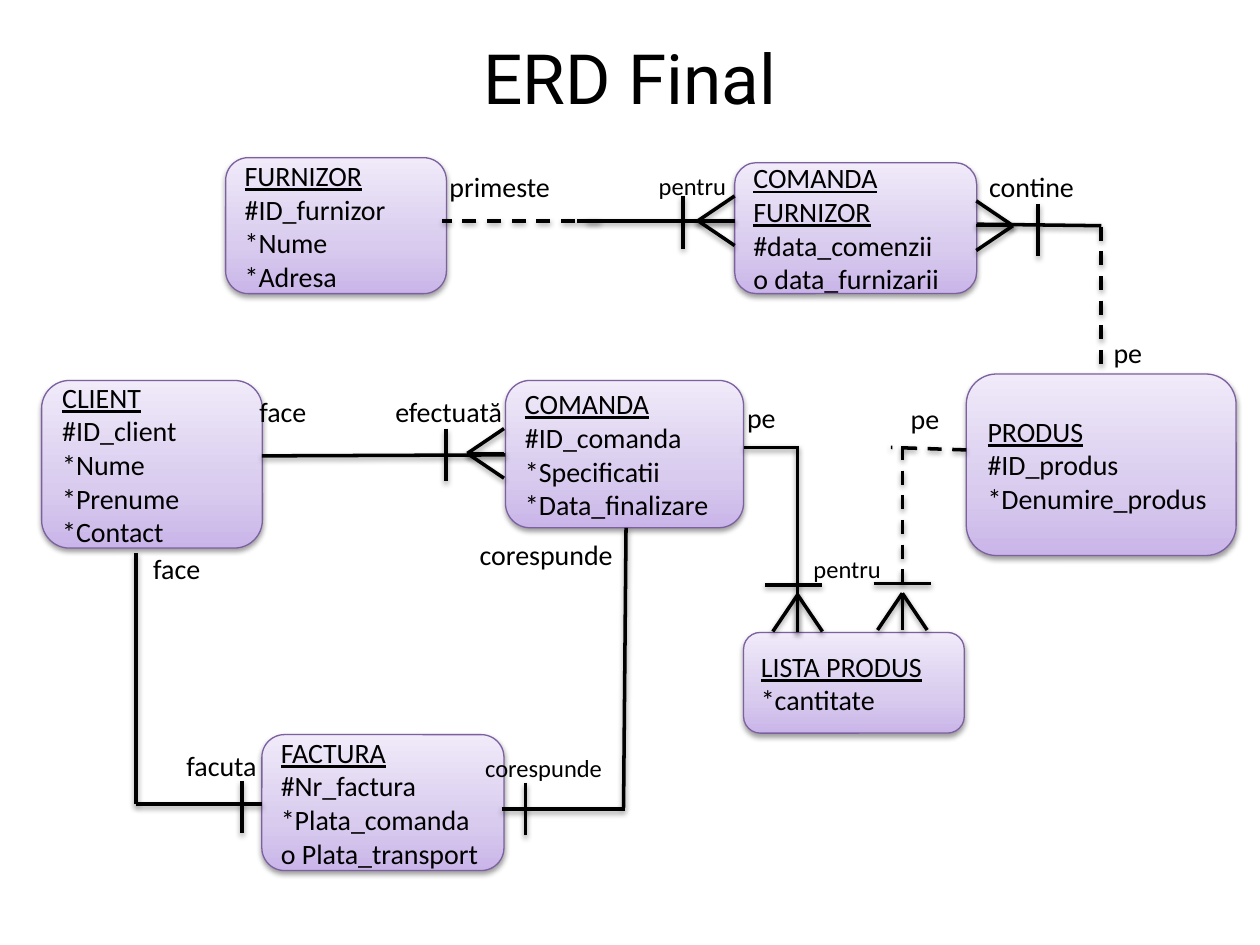
from lxml import etree
from pptx import Presentation
from pptx.dml.color import RGBColor
from pptx.enum.dml import MSO_LINE
from pptx.enum.shapes import MSO_CONNECTOR, MSO_SHAPE
from pptx.enum.text import MSO_ANCHOR, PP_ALIGN
from pptx.oxml import parse_xml
from pptx.util import Cm, Pt

STRAIGHT = MSO_CONNECTOR.STRAIGHT
ROUNDED = MSO_SHAPE.ROUNDED_RECTANGLE
DASH = MSO_LINE.DASH
MIDDLE = MSO_ANCHOR.MIDDLE
LEFT, CENTER = PP_ALIGN.LEFT, PP_ALIGN.CENTER
A = "http://schemas.openxmlformats.org/drawingml/2006/main"
INK, BORDER = "000000", "7D60A0"
GRADIENT = [(0, "C9B5E8"), (35, "D8CBEE"), (100, "F0EAF9")]
DIRECTIONS = {"right": (1, 0), "left": (-1, 0), "down": (0, 1)}
FOOT_LENGTH, FOOT_SPREAD = 0.74, 0.5

ENTITIES = [
    ((0.84, 7.67, 4.45, 3.38), ["CLIENT"], ["#ID_client", "*Nume", "*Prenume", "*Contact"]),
    ((10.19, 7.67, 4.8, 2.97), ["COMANDA"], ["#ID_comanda", "*Specificatii", "*Data_finalizare"]),
    ((4.55, 3.18, 4.45, 2.74), ["FURNIZOR"], ["#ID_furnizor", "*Nume", "*Adresa"]),
    ((14.81, 3.28, 4.88, 2.64), ["COMANDA", "FURNIZOR"], ["#data_comenzii", "o data_furnizarii"]),
    ((14.99, 12.75, 4.45, 2.03), ["LISTA PRODUS"], ["*cantitate"]),
    ((19.48, 7.54, 5.44, 3.66), ["PRODUS"], ["#ID_produs", "*Denumire_produs"]),
    ((5.28, 14.81, 4.88, 2.74), ["FACTURA"], ["#Nr_factura", "*Plata_comanda", "o Plata_transport"]),
]

RELATIONSHIPS = [
    {"solid": [(11.63, 4.45, 14.81, 4.45)], "dashed": [(12.09, 4.45, 8.92, 4.45)],
     "bars": [(13.77, 4.48)], "feet": [(14.07, 4.45, "right")],
     "labels": [("primeste", 8.81, 3.3, 2.97, 16), ("pentru", 13.03, 3.33, 1.93, 14)]},
    {"solid": [(19.69, 4.52, 22.2, 4.55)], "dashed": [(22.2, 4.57, 22.2, 7.54)],
     "bars": [(20.93, 4.64)], "feet": [(20.42, 4.55, "left")],
     "labels": [("contine", 19.69, 3.3, 3.18, 16), ("pe", 22.2, 6.63, 1.83, 16)]},
    {"solid": [(5.28, 9.19, 10.19, 9.17)],
     "bars": [(8.99, 9.17)], "feet": [(9.42, 9.14, "right")],
     "labels": [("face", 4.98, 7.82, 2.34, 16), ("efectuată", 7.72, 7.82, 2.77, 16)]},
    {"solid": [(14.99, 9.02, 16.08, 9.02), (16.08, 8.99, 16.08, 12.75)],
     "rungs": [(16, 11.79)], "feet": [(16.08, 11.99, "down")],
     "labels": [("pe", 14.81, 7.95, 1.83, 16), ("pentru", 16.15, 11.05, 1.93, 14)]},
    {"dashed": [(19.48, 9.07, 17.96, 9.02), (18.19, 8.99, 18.19, 12.17)],
     "rungs": [(18.19, 11.76)], "feet": [(18.19, 11.96, "down")],
     "labels": [("pe", 18.11, 7.98, 1.83, 16)]},
    {"solid": [(12.62, 10.64, 12.57, 16.28), (10.11, 16.31, 12.6, 16.31)],
     "bars": [(10.59, 16.31)],
     "labels": [("corespunde", 9.42, 10.72, 3.45, 16), ("corespunde", 9.53, 15.06, 3.05, 14)]},
    {"solid": [(2.74, 11.15, 2.74, 16.21), (2.74, 16.21, 5.28, 16.21)],
     "bars": [(4.88, 16.27)],
     "labels": [("face", 2.84, 11, 2.44, 16), ("facuta", 3.51, 14.96, 2.08, 16)]},
]


def rgb(value):
    """Return the colour for a hex string."""
    return RGBColor.from_string(value)


def style_text(paragraph, size, font="Calibri", underline=False):
    """Format every run of a paragraph."""
    for run in paragraph.runs:
        run.font.name = font
        run.font.size = Pt(size)
        run.font.underline = underline
        run.font.color.rgb = rgb(INK)


def add_shadow(properties):
    """Append the soft downward shadow to shape properties."""
    effects = etree.SubElement(properties, f"{{{A}}}effectLst")
    effects.append(parse_xml(
        f'<a:outerShdw xmlns:a="{A}" blurRad="40000" dist="20000" dir="5400000" rotWithShape="0">'
        '<a:srgbClr val="000000"><a:alpha val="38000"/></a:srgbClr></a:outerShdw>'))


def add_line(slide, x1, y1, x2, y2, dashed=False):
    """Draw one shadowed line between two points."""
    line = slide.shapes.add_connector(STRAIGHT, Cm(x1), Cm(y1), Cm(x2), Cm(y2))
    line.line.color.rgb = rgb(INK)
    line.line.width = Pt(2)
    if dashed:
        line.line.dash_style = DASH
    add_shadow(line._element.spPr)


def add_crow_foot(slide, x, y, direction):
    """Draw three toes from a tip towards an entity."""
    dx, dy = DIRECTIONS[direction]
    for spread in (-FOOT_SPREAD, 0, FOOT_SPREAD):
        add_line(slide, x, y, x + dx * FOOT_LENGTH + dy * spread,
                 y + dy * FOOT_LENGTH + dx * spread)


def add_label(slide, text, x, y, width, size):
    """Place the name of a relationship end."""
    label = slide.shapes.add_textbox(Cm(x), Cm(y), Cm(width), Cm(0.94))
    label.text_frame.word_wrap = True
    label.text_frame.text = text
    style_text(label.text_frame.paragraphs[0], size)


def add_entity(slide, box, headings, attributes):
    """Draw an entity with underlined headings and its attributes."""
    entity = slide.shapes.add_shape(ROUNDED, *map(Cm, box))
    entity.line.color.rgb = rgb(BORDER)
    entity.line.width = Pt(0.75)
    stops = "".join(f'<a:gs pos="{place * 1000}"><a:srgbClr val="{colour}"/></a:gs>'
                    for place, colour in GRADIENT)
    properties = entity._element.spPr
    properties.insert(2, parse_xml(
        f'<a:gradFill xmlns:a="{A}" rotWithShape="1"><a:gsLst>{stops}</a:gsLst>'
        '<a:lin ang="16200000" scaled="0"/></a:gradFill>'))
    add_shadow(properties)
    frame = entity.text_frame
    frame.word_wrap = True
    frame.vertical_anchor = MIDDLE
    frame.text = "\n".join(headings + attributes)
    for index, paragraph in enumerate(frame.paragraphs):
        paragraph.alignment = LEFT
        style_text(paragraph, 16, underline=index < len(headings))


def add_relationship(slide, relationship):
    """Draw the lines, end marks and labels of one relationship."""
    for segment in relationship.get("dashed", []):
        add_line(slide, *segment, dashed=True)
    for segment in relationship.get("solid", []):
        add_line(slide, *segment)
    for x, y in relationship.get("bars", []):
        add_line(slide, x, y - 0.53, x, y + 0.53)
    for x, y in relationship.get("rungs", []):
        add_line(slide, x - 0.58, y, x + 0.58, y)
    for foot in relationship.get("feet", []):
        add_crow_foot(slide, *foot)
    for label in relationship["labels"]:
        add_label(slide, *label)


def add_title(slide, box):
    """Place and format the title placeholder."""
    title = slide.shapes.title
    title.left, title.top, title.width, title.height = map(Cm, box)
    title.text_frame.text = "ERD Final"
    title.text_frame.vertical_anchor = MIDDLE
    title.text_frame.paragraphs[0].alignment = CENTER
    style_text(title.text_frame.paragraphs[0], 39.6, "Roboto")


def main():
    """Build the entity relationship slide."""
    deck = Presentation()
    deck.slide_width, deck.slide_height = Cm(25.4), Cm(19.05)
    slide = deck.slides.add_slide(deck.slide_layouts[5])
    add_title(slide, (1.27, 0.76, 22.86, 1.57))
    for entity in ENTITIES:
        add_entity(slide, *entity)
    for relationship in RELATIONSHIPS:
        add_relationship(slide, relationship)
    deck.save("out.pptx")


if __name__ == "__main__":
    main()
